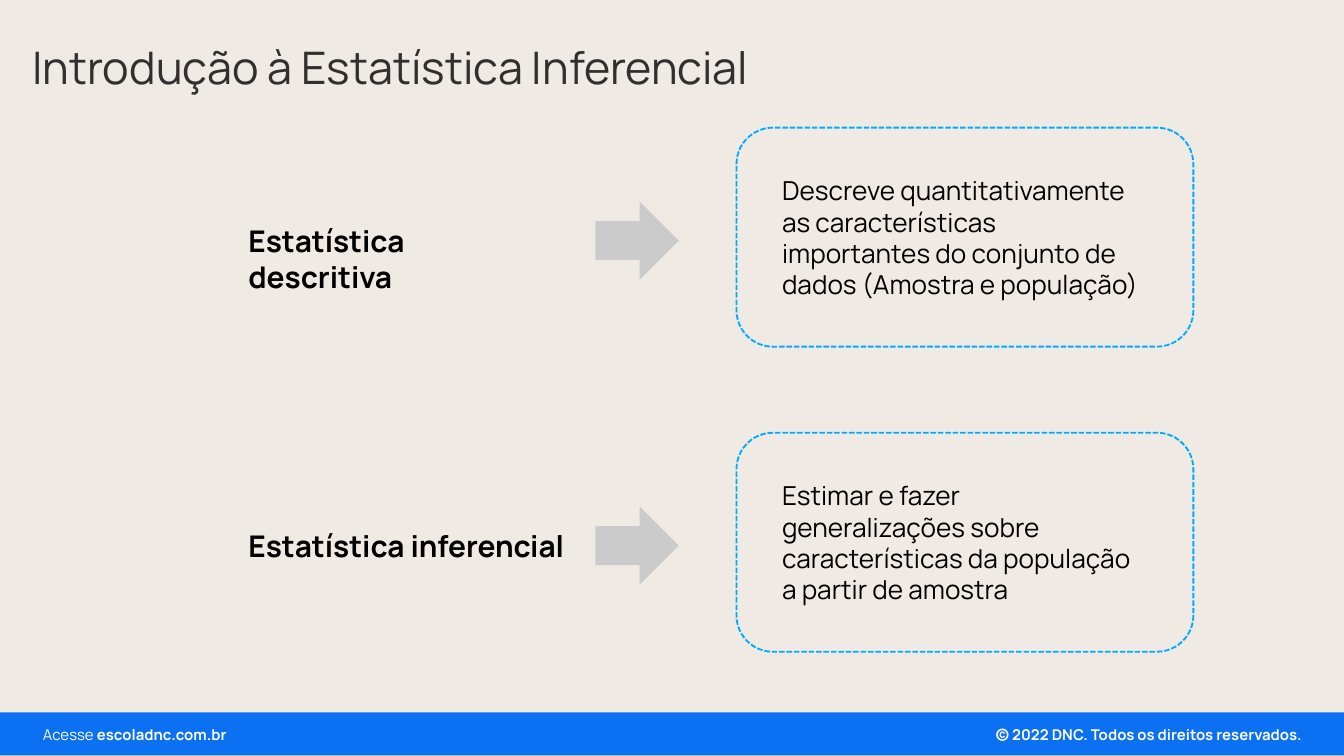
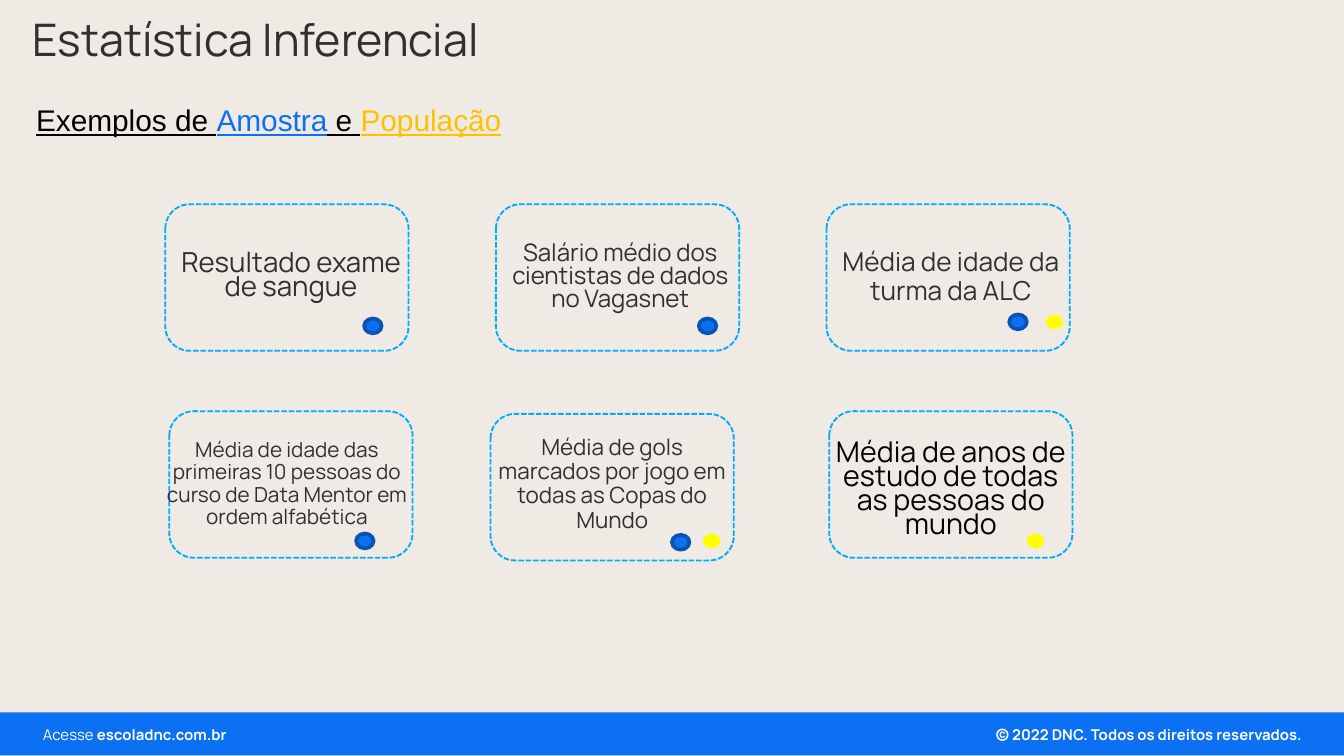
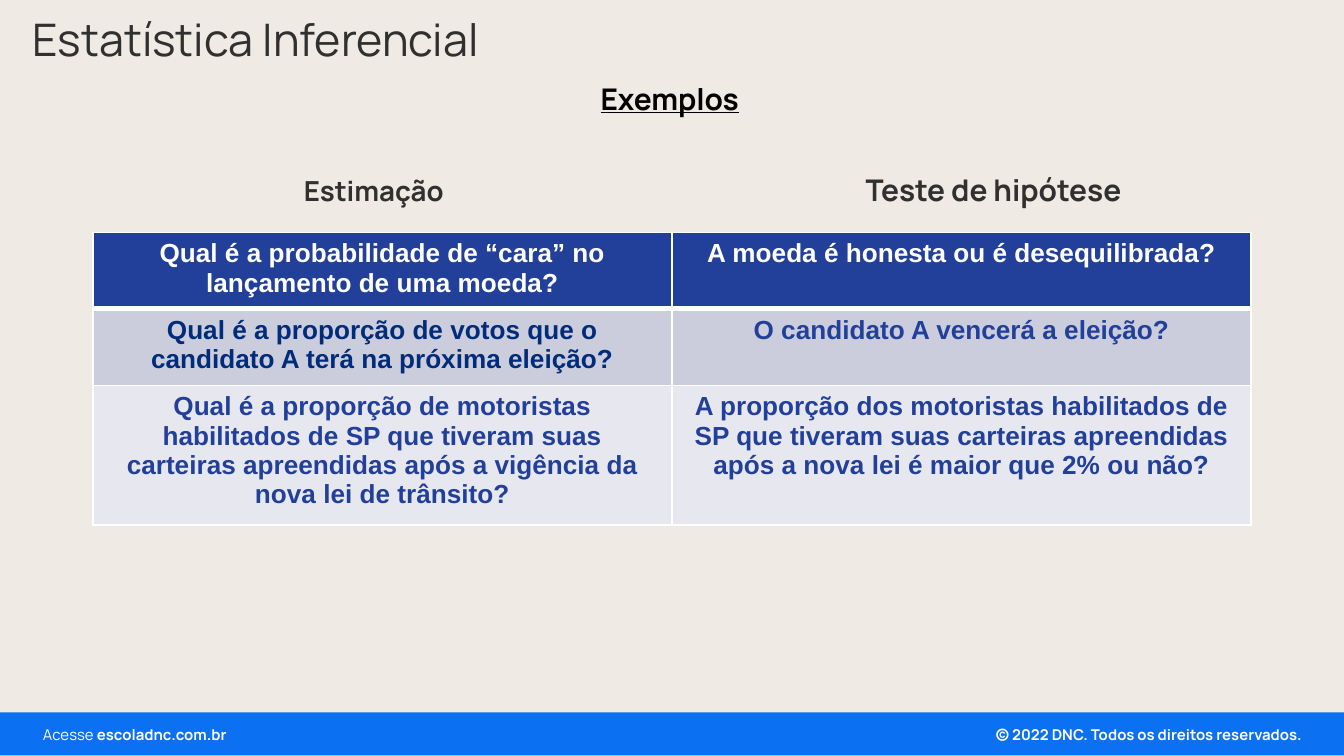
from lxml import etree
from pptx import Presentation
from pptx import util as u
from pptx.dml import color
from pptx.enum import dml, shapes, text
from pptx.oxml import ns

COLORS = {
    "paper": "EFEBE4", "blue": "0C70F2", "dark_blue": "0953B3", "sky": "00ABFF",
    "gold": "FFC000", "yellow": "FFFF00", "gray": "CBCBCB", "ink": "303030",
    "black": "000000", "white": "FFFFFF", "navy": "22409A", "deep_navy": "002C7A",
    "row_dark": "CBCDDD", "row_light": "E7E8EF",
}
LEFT, CENTER, RIGHT = text.PP_ALIGN.LEFT, text.PP_ALIGN.CENTER, text.PP_ALIGN.RIGHT
TIGHT = (0.07, 0.04)
LOOSE = (0.1, 0.05)
KIND = shapes.MSO_SHAPE


def rgb(name):
    return color.RGBColor.from_string(COLORS[name])


class Deck:
    font = "Manrope"

    def __init__(self):
        self.prs = Presentation()
        self.prs.slide_width, self.prs.slide_height = u.Inches(10), u.Inches(5.625)
        fill = self.prs.slide_master.background.fill
        fill.solid()
        fill.fore_color.rgb = rgb("paper")
        self.s = None

    def slide(self, title, width, height):
        self.s = self.prs.slides.add_slide(self.prs.slide_layouts[5])
        self.shape(KIND.RECTANGLE, (0, 5.3, 10, 0.32), "blue")
        small = dict(size=8, c="white", inset=TIGHT)
        self.text((7.09, 5.36, 2.67, 0.21), "© 2022 DNC. Todos os direitos reservados.",
                  align=RIGHT, bold=True, **small)
        self.text((0.25, 5.36, 2.46, 0.21),
                  [("Acesse ", {}), ("escoladnc.com.br", {"bold": True})], **small)
        sp = self.s.shapes.title
        self.place(sp, (0.17, 0.08, width, height))
        self.fill_text(sp.text_frame, title, size=24, c="ink", inset=TIGHT, middle=True,
                       spacing=0.9)

    def place(self, sp, box):
        sp.left, sp.top, sp.width, sp.height = map(u.Inches, box)

    def fill_text(self, tf, runs, size, c="black", bold=False, underline=False, font=None,
                  align=LEFT, inset=LOOSE, middle=False, spacing=None):
        tf.word_wrap = True
        tf.auto_size = text.MSO_AUTO_SIZE.NONE if middle else text.MSO_AUTO_SIZE.SHAPE_TO_FIT_TEXT
        tf.vertical_anchor = text.MSO_ANCHOR.MIDDLE if middle else text.MSO_ANCHOR.TOP
        tf.margin_left = tf.margin_right = u.Inches(inset[0])
        tf.margin_top = tf.margin_bottom = u.Inches(inset[1])
        p = tf.paragraphs[0]
        p.alignment = align
        if spacing:
            p.line_spacing = spacing
        self.runs(p, runs, size, c, bold, underline, font)

    def runs(self, p, runs, size, c, bold=False, underline=False, font=None):
        for words, own in [(runs, {})] if isinstance(runs, str) else runs:
            r = p.add_run()
            r.text = words
            r.font.name = font or self.font
            r.font.size = u.Pt(size)
            r.font.bold = own.get("bold", bold)
            r.font.underline = underline
            r.font.color.rgb = rgb(own.get("c", c))

    def text(self, box, runs, **style):
        sp = self.s.shapes.add_textbox(*map(u.Inches, box))
        self.fill_text(sp.text_frame, runs, **style)

    def shape(self, kind, box, fill=None, line=None, weight=1, dash=None):
        sp = self.s.shapes.add_shape(kind, *map(u.Inches, box))
        sp.shadow.inherit = False
        if fill:
            sp.fill.solid()
            sp.fill.fore_color.rgb = rgb(fill)
        else:
            sp.fill.background()
        if line:
            sp.line.color.rgb = rgb(line)
            sp.line.width = u.Pt(weight)
            sp.line.dash_style = dash
        else:
            sp.line.fill.background()

    def card(self, box):
        self.shape(KIND.ROUNDED_RECTANGLE, box, line="sky", dash=dml.MSO_LINE.SQUARE_DOT)

    def dot(self, left, top, sample):
        box = (left, top, 0.13, 0.11)
        if sample:
            self.shape(KIND.OVAL, box, "blue", "dark_blue", 2)
        else:
            self.shape(KIND.OVAL, box, "yellow")

    def border(self, cell, side, weight):
        ln = etree.SubElement(cell._tc.get_or_add_tcPr(), ns.qn("a:ln" + side), w=str(u.Pt(weight)))
        fill = etree.SubElement(ln, ns.qn("a:solidFill"))
        etree.SubElement(fill, ns.qn("a:srgbClr"), val=COLORS["white"])

    def table(self, box, heights, rows, fills, inks):
        tbl = self.s.shapes.add_table(len(rows), len(rows[0]), *map(u.Inches, box)).table
        for i, row in enumerate(rows):
            tbl.rows[i].height = u.Inches(heights[i])
            for j, words in enumerate(row):
                cell = tbl.cell(i, j)
                for side in "LRTB":
                    header_edge = (i, side) in ((0, "B"), (1, "T"))
                    self.border(cell, side, 3 if header_edge else 1)
                cell.fill.solid()
                cell.fill.fore_color.rgb = rgb(fills[i])
                p = cell.text_frame.paragraphs[0]
                p.alignment = CENTER
                self.runs(p, words, 14, inks[i][j], bold=True, font="Arial")


def introduction(deck):
    deck.slide("Introdução à Estatística Inferencial", 6.77, 0.88)
    branches = [
        ("Estatística descritiva", 2.46,
         "Descreve quantitativamente as características importantes do conjunto de dados "
         "(Amostra e população)"),
        ("Estatística inferencial", 2.58,
         "Estimar e fazer generalizações sobre características da população a partir de amostra"),
    ]
    for i, (name, width, meaning) in enumerate(branches):
        top = 0.95 + 2.27 * i
        deck.text((1.75, top + 0.66, width, 0.37), name, size=16, bold=True)
        deck.shape(KIND.RIGHT_ARROW, (4.43, top + 0.55, 0.62, 0.58), "gray")
        deck.card((5.48, top, 3.4, 1.63))
        deck.text((5.72, top + 0.3, 2.91, 1.04), meaning, size=14)


def samples(deck):
    deck.slide("Estatística Inferencial", 4.37, 0.47)
    deck.text((0.17, 0.71, 3.98, 0.37),
              [("Exemplos de ", {}), ("Amostra", {"c": "blue"}), (" e ", {}),
               ("População", {"c": "gold"})],
              size=16, underline=True, font="Arial")
    top_row, low_row = (1.81, 0.65), (1.95, 0.87)
    examples = [
        ((1.23, 1.52), (1.26, 1.74), top_row, "Resultado exame de sangue", 14.8, 0.7, "ink"),
        ((3.69, 1.52), (3.71, 1.74), top_row,
         "Salário médio dos cientistas de dados no Vagasnet", 12.9, 0.8, "ink"),
        ((6.15, 1.52), (6.17, 1.74), top_row, "Média de idade da turma da ALC", 14, 0.9, "ink"),
        ((1.26, 3.06), (1.16, 3.17), low_row,
         "Média de idade das primeiras 10 pessoas do curso de Data Mentor em ordem alfabética",
         11.1, 0.9, "ink"),
        ((3.65, 3.08), (3.58, 3.17), low_row,
         "Média de gols marcados por jogo em todas as Copas do Mundo", 12, 0.9, "ink"),
        ((6.17, 3.06), (6.1, 3.22), low_row,
         "Média de anos de estudo de todas as pessoas do mundo", 15.3, 0.7, "black"),
    ]
    for card, label, extent, words, size, spacing, ink in examples:
        deck.card((*card, 1.81, 1.09))
        deck.text((*label, *extent), words, size=size, c=ink, align=CENTER,
                  inset=TIGHT, middle=True, spacing=spacing)
    for left, top in [(2.71, 2.37), (5.2, 2.37), (7.51, 2.34), (2.65, 3.97), (5, 3.98)]:
        deck.dot(left, top, sample=True)
    for left, top in [(5.23, 3.97), (7.64, 3.97), (7.78, 2.34)]:
        deck.dot(left, top, sample=False)


def questions(deck):
    deck.slide("Estatística Inferencial", 4.26, 0.47)
    deck.text((4.37, 0.55, 1.27, 0.37), "Exemplos", size=16, bold=True, underline=True)
    for left, width, heading, size in [(2.19, 1.22, "Estimação", 14.8),
                                       (6.37, 2.36, "Teste de hipótese", 16)]:
        deck.text((left, 1.26, width, 0.34), heading, size=size, c="ink", bold=True,
                  inset=TIGHT, middle=True, spacing=0.9)
    rows = [
        ("Qual é a probabilidade de “cara” no lançamento de uma moeda?",
         "A moeda é honesta ou é desequilibrada?"),
        ("Qual é a proporção de votos que o candidato A terá na próxima eleição?",
         "O candidato A vencerá a eleição?"),
        ("Qual é a proporção de motoristas habilitados de SP que tiveram suas carteiras "
         "apreendidas após a vigência da nova lei de trânsito?",
         "A proporção dos motoristas habilitados de SP que tiveram suas carteiras "
         "apreendidas após a nova lei é maior que 2% ou não?"),
    ]
    deck.table((0.69, 1.73, 8.62, 2.17), (0.56, 0.57, 1.04), rows,
               fills=("navy", "row_dark", "row_light"),
               inks=(("white", "white"), ("deep_navy", "navy"), ("navy", "navy")))


def main():
    deck = Deck()
    introduction(deck)
    samples(deck)
    questions(deck)
    deck.prs.save("out.pptx")


if __name__ == "__main__":
    main()
